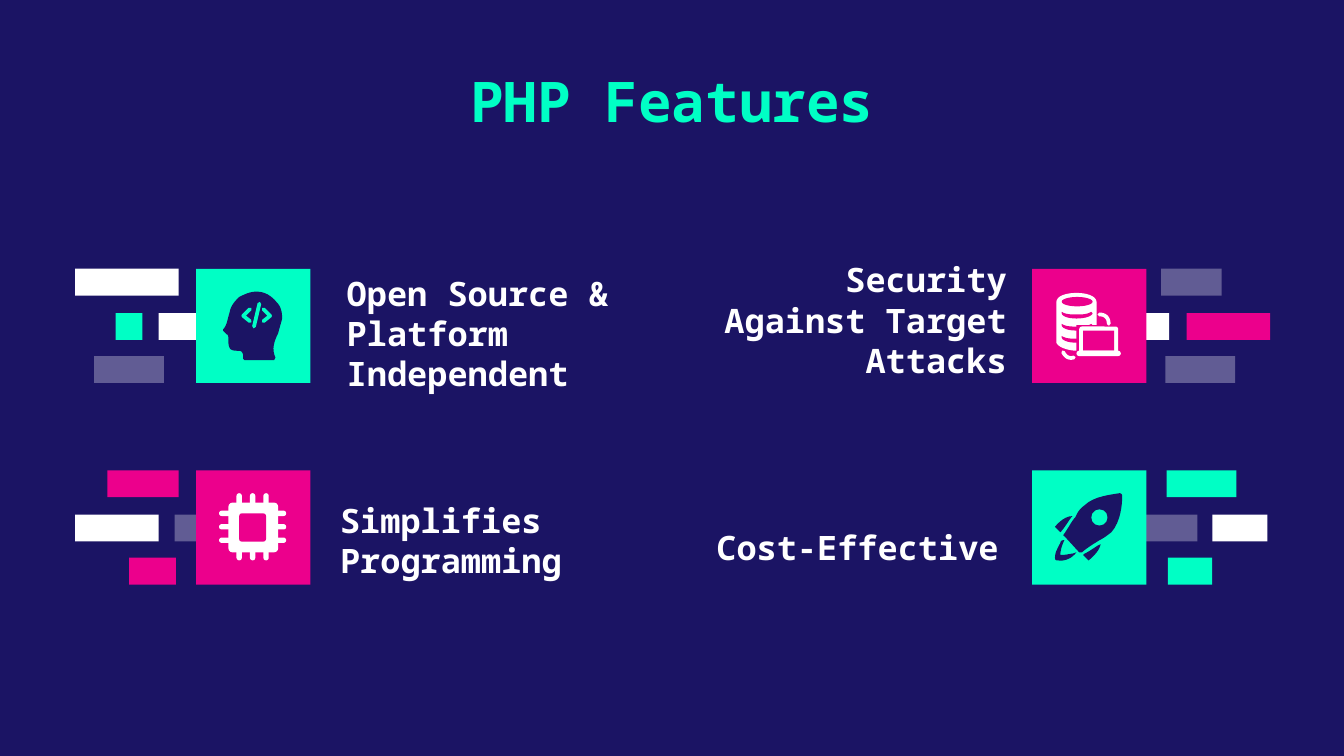
from dataclasses import dataclass

from lxml import etree
from pptx import Presentation
from pptx import util as u
from pptx.dml import color as dml
from pptx.enum import shapes, text
from pptx.oxml import ns


@dataclass(frozen=True)
class Theme:
    font: str = "Noto Sans Mono"
    navy: str = "1B1464"
    mint: str = "00FFC5"
    pink: str = "EC008C"
    white: str = "FFFFFF"
    title_size: int = 30
    label_size: int = 18
    faded_alpha: int = 31000


THEME = Theme()
FADED = "faded"
TILE_SIZE = 0.85
BAR_HEIGHT = 0.2
BAR_OFFSETS = (0, 0.33, 0.65)
LEFT, RIGHT = text.PP_ALIGN.LEFT, text.PP_ALIGN.RIGHT
RECTANGLE = shapes.MSO_SHAPE.RECTANGLE
ROUNDED = shapes.MSO_SHAPE.ROUNDED_RECTANGLE
OVAL = shapes.MSO_SHAPE.OVAL

FEATURES = (
    ("Open Source & Platform Independent", (2.48, 1.82, 2.37, 1.11), LEFT, (1.46, 2), THEME.mint,
     ((0.56, 0, 0.77, THEME.white), (0.86, 1, 0.2, THEME.mint),
      (1.18, 1, 0.35, THEME.white), (0.7, 2, 0.52, FADED))),
    ("Security Against Target Attacks", (5.02, 1.82, 2.57, 1.01), RIGHT, (7.68, 2), THEME.pink,
     ((8.64, 0, 0.45, FADED), (8.46, 1, 0.24, THEME.white),
      (8.83, 1, 0.62, THEME.pink), (8.67, 2, 0.52, FADED))),
    ("Simplifies Programming", (2.43, 3.46, 2.37, 0.86), LEFT, (1.46, 3.5), THEME.pink,
     ((0.8, 0, 0.53, THEME.pink), (0.56, 1, 0.62, THEME.white),
      (1.3, 1, 0.24, FADED), (0.96, 2, 0.35, THEME.pink))),
    ("Cost-Effective", (5.16, 3.7, 2.37, 0.52), RIGHT, (7.68, 3.5), THEME.mint,
     ((8.68, 0, 0.52, THEME.mint), (8.46, 1, 0.45, FADED),
      (9.02, 1, 0.41, THEME.white), (8.69, 2, 0.33, THEME.mint))),
)

HEAD = (
    (1.91, 2.17), (1.86, 2.17, 1.82, 2.19, 1.78, 2.21), (1.75, 2.24, 1.72, 2.27, 1.71, 2.32),
    (1.69, 2.39, 1.69, 2.41, 1.67, 2.44), (1.66, 2.45, 1.66, 2.45, 1.66, 2.46),
    (1.67, 2.47, 1.68, 2.48, 1.69, 2.49), (1.7, 2.49, 1.7, 2.51, 1.7, 2.53),
    (1.7, 2.55, 1.7, 2.57, 1.71, 2.59), (1.72, 2.61, 1.75, 2.61, 1.77, 2.61),
    (1.79, 2.61, 1.8, 2.61, 1.81, 2.64), (1.81, 2.67), (1.82, 2.68), (2.04, 2.68), (2.05, 2.66),
    (2.02, 2.6, 2.04, 2.54, 2.07, 2.48), (2.08, 2.44, 2.09, 2.41, 2.1, 2.37),
    (2.1, 2.32, 2.09, 2.28, 2.06, 2.25), (2.02, 2.2, 1.97, 2.17, 1.91, 2.17),
)
CODE_MARKS = (
    ((1.86, 2.3), (1.81, 2.35), (1.86, 2.39)),
    ((1.93, 2.26), (1.89, 2.43)),
    ((1.96, 2.3), (2.01, 2.35), (1.96, 2.39)),
)
DISK_STACK = (
    (7.86, 2.25), (7.86, 2.2, 7.94, 2.18, 8.01, 2.18), (8.08, 2.18, 8.16, 2.2, 8.16, 2.25),
    (8.16, 2.55), (8.16, 2.59, 8.08, 2.61, 8.01, 2.61), (7.94, 2.61, 7.87, 2.58, 7.86, 2.55),
)
DISK_GAP = (
    (7.9, 2.32), (7.93, 2.34, 7.97, 2.34, 8.01, 2.34), (8.05, 2.34, 8.09, 2.34, 8.12, 2.32),
    (8.13, 2.33), (8.13, 2.35, 8.08, 2.37, 8.01, 2.37), (7.94, 2.37, 7.9, 2.35, 7.9, 2.33),
)
SYNC_ARCS = (
    ((8.18, 2.34), (8.22, 2.34, 8.25, 2.36, 8.25, 2.41)),
    ((7.91, 2.62), (7.93, 2.66, 7.96, 2.67, 7.99, 2.66)),
)
ROCKET = (
    ((7.98, 3.84), (7.91, 3.84, 7.85, 3.92, 7.85, 3.92), (7.89, 3.96), (7.9, 3.95),
     (7.94, 3.9, 7.96, 3.86, 7.98, 3.84)),
    ((8.19, 4.05), (8.16, 4.06, 8.13, 4.09, 8.07, 4.12), (8.06, 4.13), (8.1, 4.17),
     (8.1, 4.17, 8.18, 4.11, 8.19, 4.05)),
    ((7.91, 4.02), (7.9, 4.02, 7.89, 4.03, 7.89, 4.04), (7.87, 4.08, 7.85, 4.11, 7.85, 4.15),
     (7.85, 4.17, 7.86, 4.17, 7.87, 4.17), (7.93, 4.18, 7.98, 4.15, 8.01, 4.11),
     (7.98, 4.12), (7.96, 4.12, 7.94, 4.13, 7.89, 4.13), (7.89, 4.1, 7.9, 4.06, 7.92, 4.02)),
    ((8.33, 3.67), (8.28, 3.68, 8.14, 3.69, 8.07, 3.76), (8.03, 3.79, 8.02, 3.81, 8, 3.85),
     (7.98, 3.87, 7.96, 3.91, 7.92, 3.97), (7.91, 3.98, 7.91, 3.99, 7.92, 3.99), (8.03, 4.11),
     (8.05, 4.11), (8.11, 4.06, 8.15, 4.04, 8.18, 4.02), (8.22, 4, 8.23, 3.99, 8.27, 3.96),
     (8.34, 3.88, 8.35, 3.75, 8.35, 3.69), (8.35, 3.68, 8.34, 3.67, 8.33, 3.67)),
)


def flatten(outline, steps=8):
    points = [outline[0]]
    for segment in outline[1:]:
        if len(segment) == 2:
            points.append(segment)
            continue
        controls = (points[-1], segment[:2], segment[2:4], segment[4:])
        for step in range(1, steps + 1):
            t = step / steps
            weights = ((1 - t) ** 3, 3 * t * (1 - t) ** 2, 3 * t * t * (1 - t), t ** 3)
            points.append(tuple(sum(w * c[axis] for w, c in zip(weights, controls))
                                for axis in (0, 1)))
    return [(u.Inches(x), u.Inches(y)) for x, y in points]


class SlideBuilder:
    """Hold the theme and the current slide, and draw each kind of element."""

    def __init__(self, slide, theme):
        self.slide = slide
        self.theme = theme
        slide.background.fill.solid()
        slide.background.fill.fore_color.rgb = dml.RGBColor.from_string(theme.navy)

    def paint(self, shape, color):
        shape.shadow.inherit = False
        shape.line.fill.background()
        shape.fill.solid()
        faded = color == FADED
        shape.fill.fore_color.rgb = dml.RGBColor.from_string(self.theme.white if faded else color)
        if faded:
            fill_color = shape.element.spPr.find(".//" + ns.qn("a:srgbClr"))
            etree.SubElement(fill_color, ns.qn("a:alpha"), val=str(self.theme.faded_alpha))

    def shape(self, box, color, kind=RECTANGLE, rounding=None):
        shape = self.slide.shapes.add_shape(kind, *map(u.Inches, box))
        if rounding is not None:
            shape.adjustments[0] = rounding
        self.paint(shape, color)

    def freeform(self, outline, closed):
        points = flatten(outline)
        builder = self.slide.shapes.build_freeform(*points[0])
        builder.add_line_segments(points[1:], close=closed)
        return builder.convert_to_shape()

    def outline(self, outline, color):
        self.paint(self.freeform(outline, True), color)

    def stroke(self, outline, color):
        shape = self.freeform(outline, False)
        shape.shadow.inherit = False
        shape.fill.background()
        shape.line.color.rgb = dml.RGBColor.from_string(color)
        shape.line.width = u.Pt(2)
        shape.element.spPr.find(ns.qn("a:ln")).set("cap", "rnd")

    def placeholder(self, index, words, box, size, color, alignment, anchor, inset):
        shape = self.slide.placeholders[index]
        shape.left, shape.top, shape.width, shape.height = map(u.Inches, box)
        frame = shape.text_frame
        frame.text = words
        frame.word_wrap = True
        frame.auto_size = text.MSO_AUTO_SIZE.NONE
        frame.vertical_anchor = anchor
        frame.margin_left = frame.margin_right = u.Inches(0.1)
        frame.margin_top = frame.margin_bottom = u.Inches(inset)
        paragraph = frame.paragraphs[0]
        paragraph.alignment = alignment
        paragraph.line_spacing = 1.0
        paragraph.space_before = u.Pt(0)
        properties = paragraph._p.get_or_add_pPr()
        properties.set("marL", "0")
        properties.set("indent", "0")
        etree.SubElement(properties, ns.qn("a:buNone"))
        font = paragraph.runs[0].font
        font.name, font.size, font.bold = self.theme.font, u.Pt(size), True
        font.color.rgb = dml.RGBColor.from_string(color)


def draw_icons(builder, theme):
    builder.outline(HEAD, theme.navy)
    for mark in CODE_MARKS:
        builder.stroke(mark, theme.mint)

    builder.outline(DISK_STACK, theme.white)
    builder.shape((7.9, 2.21, 0.23, 0.07), theme.pink, OVAL)
    for level in range(3):
        gap = [tuple(value + 0.09 * level * (i % 2) for i, value in enumerate(segment))
               for segment in DISK_GAP]
        builder.outline(gap, theme.pink)
    builder.shape((8.01, 2.42, 0.16, 0.2), theme.pink)
    for arc in SYNC_ARCS:
        builder.stroke(arc, theme.white)
    builder.shape((8.03, 2.43, 0.29, 0.2), theme.white, ROUNDED, 0.1)
    builder.shape((8.06, 2.46, 0.23, 0.15), theme.pink)
    builder.shape((8.01, 2.61, 0.33, 0.04), theme.white, ROUNDED, 0.5)

    for pin in range(3):
        builder.shape((1.76 + 0.1 * pin, 3.67, 0.04, 0.5), theme.white, ROUNDED, 0.5)
        builder.shape((1.63, 3.8 + 0.1 * pin, 0.5, 0.04), theme.white, ROUNDED, 0.5)
    builder.shape((1.7, 3.74, 0.37, 0.37), theme.white, ROUNDED, 0.08)
    builder.shape((1.78, 3.82, 0.2, 0.21), theme.pink, ROUNDED, 0.1)

    for part in ROCKET:
        builder.outline(part, theme.navy)
    builder.shape((8.12, 3.79, 0.12, 0.12), theme.mint, OVAL)


def main():
    presentation = Presentation()
    presentation.slide_width = u.Inches(10)
    presentation.slide_height = presentation.slide_width * 9 // 16
    builder = SlideBuilder(presentation.slides.add_slide(presentation.slide_layouts[4]), THEME)
    builder.placeholder(0, "PHP Features", (1.4, 0.38, 7.2, 0.73), THEME.title_size, THEME.mint,
                        text.PP_ALIGN.CENTER, text.MSO_ANCHOR.MIDDLE, 0.1)
    for index, (label, box, alignment, (left, top), color, bars) in enumerate(FEATURES, 1):
        builder.placeholder(index, label, box, THEME.label_size, THEME.white,
                            alignment, text.MSO_ANCHOR.BOTTOM, 0)
        for bar_left, row, width, bar_color in bars:
            builder.shape((bar_left, top + BAR_OFFSETS[row], width, BAR_HEIGHT), bar_color)
        builder.shape((left, top, TILE_SIZE, TILE_SIZE), color)
    draw_icons(builder, THEME)
    presentation.save("out.pptx")


if __name__ == "__main__":
    main()
